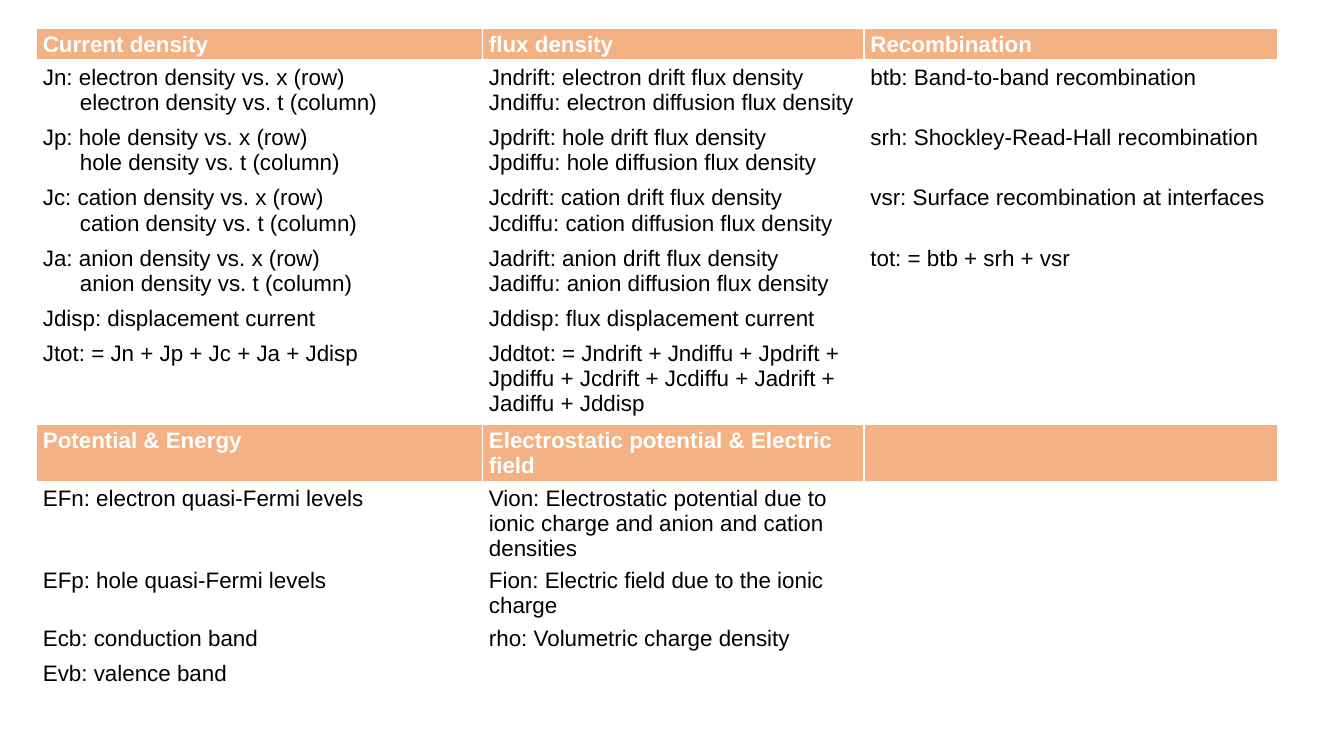
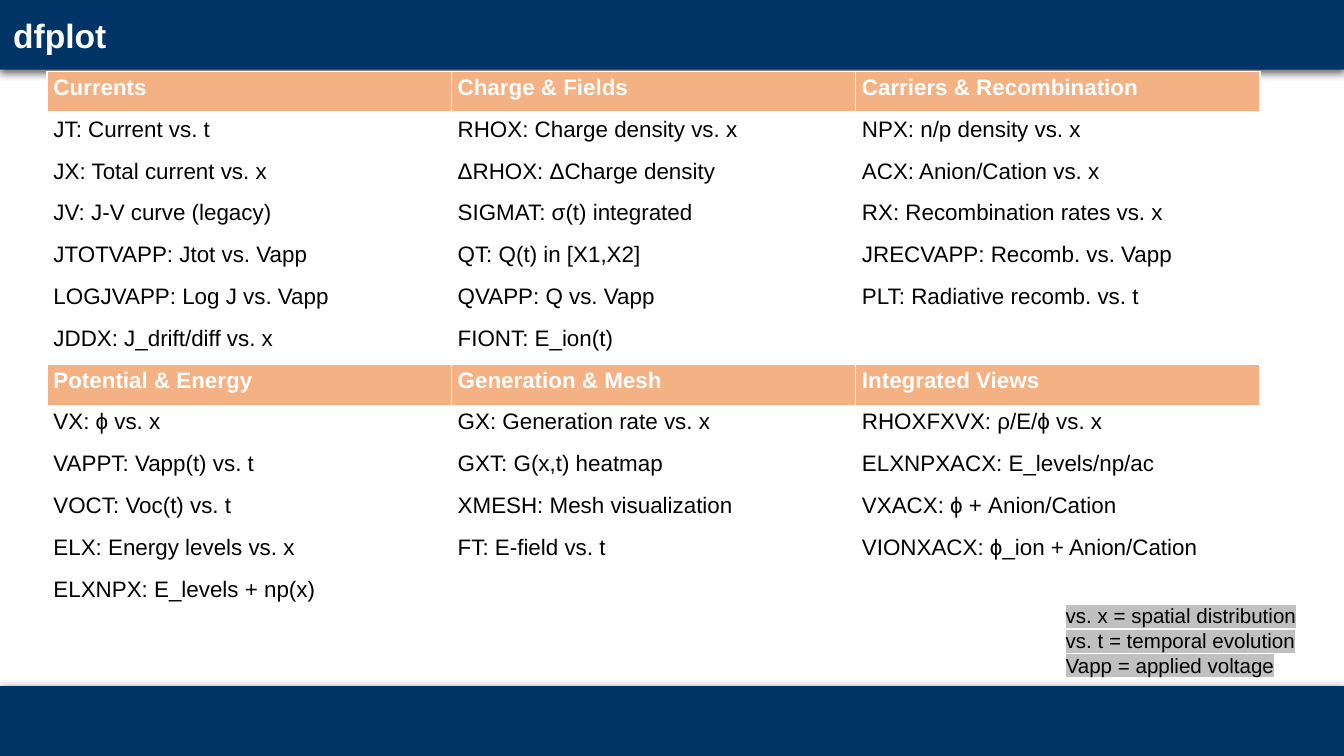
from copy import deepcopy

from lxml.etree import SubElement
from pptx import Presentation
from pptx.dml.color import RGBColor
from pptx.enum.shapes import MSO_SHAPE
from pptx.enum.text import MSO_ANCHOR, MSO_AUTO_SIZE, PP_ALIGN
from pptx.oxml import parse_xml
from pptx.oxml.ns import nsdecls, qn
from pptx.util import Cm, Pt

FONT = "Arial"
NAVY, ORANGE, WHITE, BLACK, SILVER = "003366", "F4B183", "FFFFFF", "000000", "C0C0C0"
SLIDE_WIDTH, SLIDE_HEIGHT, BAND_HEIGHT = 25.4, 14.29, 1.32
HEADING_ROWS = (0, 7)
HANG = 0.7

VARIABLES = dict(
    left=0.69, top=0.53,
    widths=[8.43, 7.21, 7.82],
    heights=[0.63] + [1.14] * 4 + [0.63, 1.65, 0.63, 0.69] + [0.63] * 4,
    rows=[
        ("Current density", "flux density", "Recombination"),
        ("Jn: electron density vs. x (row)\velectron density vs. t (column)",
         "Jndrift: electron drift flux density\nJndiffu: electron diffusion flux density",
         "btb: Band-to-band recombination"),
        ("Jp: hole density vs. x (row)\vhole density vs. t (column)",
         "Jpdrift: hole drift flux density\nJpdiffu: hole diffusion flux density",
         "srh: Shockley-Read-Hall recombination"),
        ("Jc: cation density vs. x (row)\vcation density vs. t (column)",
         "Jcdrift: cation drift flux density\nJcdiffu: cation diffusion flux density",
         "vsr: Surface recombination at interfaces"),
        ("Ja: anion density vs. x (row)\vanion density vs. t (column)",
         "Jadrift: anion drift flux density\nJadiffu: anion diffusion flux density",
         "tot: = btb + srh + vsr"),
        ("Jdisp: displacement current", "Jddisp: flux displacement current", ""),
        ("Jtot: = Jn + Jp + Jc + Ja + Jdisp",
         "Jddtot: = Jndrift + Jndiffu + Jpdrift + Jpdiffu + Jcdrift + Jcdiffu + "
         "Jadrift + Jadiffu + Jddisp", ""),
        ("Potential & Energy", "Electrostatic potential & Electric field", ""),
        ("EFn: electron quasi-Fermi levels",
         "Vion: Electrostatic potential due to ionic charge and anion and cation densities", ""),
        ("EFp: hole quasi-Fermi levels", "Fion: Electric field due to the ionic charge", ""),
        ("Ecb: conduction band", "rho: Volumetric charge density", ""),
        ("Evb: valence band", "", ""),
        ("", "", ""),
    ],
)

PLOTS = dict(
    left=0.89, top=1.35,
    widths=[7.64] * 3,
    heights=[0.79] * 13,
    rows=[
        ("Currents", "Charge & Fields", "Carriers & Recombination"),
        ("JT: Current vs. t", "RHOX: Charge density vs. x", "NPX: n/p density vs. x"),
        ("JX: Total current vs. x", "ΔRHOX: ΔCharge density", "ACX: Anion/Cation vs. x"),
        ("JV: J-V curve (legacy)", "SIGMAT: σ(t) integrated", "RX: Recombination rates vs. x"),
        ("JTOTVAPP: Jtot vs. Vapp", "QT: Q(t) in [X1,X2]", "JRECVAPP: Recomb. vs. Vapp"),
        ("LOGJVAPP: Log J vs. Vapp", "QVAPP: Q vs. Vapp", "PLT: Radiative recomb. vs. t"),
        ("JDDX: J_drift/diff vs. x", "FIONT: E_ion(t)", ""),
        ("Potential & Energy", "Generation & Mesh", "Integrated Views"),
        ("VX: ϕ vs. x", "GX: Generation rate vs. x", "RHOXFXVX: ρ/E/ϕ vs. x"),
        ("VAPPT: Vapp(t) vs. t", "GXT: G(x,t) heatmap", "ELXNPXACX: E_levels/np/ac"),
        ("VOCT: Voc(t) vs. t", "XMESH: Mesh visualization", "VXACX: ϕ + Anion/Cation"),
        ("ELX: Energy levels vs. x", "FT: E-field vs. t", "VIONXACX: ϕ_ion + Anion/Cation"),
        ("ELXNPX: E_levels + np(x)", "", ""),
    ],
)

TITLE = "dfplot"
LEGEND = "vs. x = spatial distribution\nvs. t = temporal evolution\nVapp = applied voltage"


def rgb(color):
    return RGBColor.from_string(color)


def write(frame, text, size=12, color=BLACK, bold=False, highlight=None):
    frame.word_wrap = True
    for number, line in enumerate(text.split("\n")):
        paragraph = frame.add_paragraph() if number else frame.paragraphs[0]
        paragraph.text = line
        paragraph.alignment = PP_ALIGN.LEFT
        if "\v" in line:
            properties = paragraph._p.get_or_add_pPr()
            properties.set("marL", str(Cm(HANG)))
            properties.set("indent", str(-Cm(HANG)))
        for run in paragraph.runs:
            run.font.name = FONT
            run.font.size = Pt(size)
            run.font.bold = bold
            run.font.color.rgb = rgb(color)
            if highlight:
                run._r.rPr.find(qn("a:solidFill")).addnext(parse_xml(
                    f'<a:highlight {nsdecls("a")}><a:srgbClr val="{highlight}"/></a:highlight>'))
        for line_break in paragraph._p.findall(qn("a:br")):
            line_break.append(deepcopy(paragraph.runs[0]._r.rPr))
        if not line:
            SubElement(paragraph._p, qn("a:endParaRPr"), sz=str(size * 100))


def add_borders(cell, bottom):
    properties = cell._tc.get_or_add_tcPr()
    for position, (side, width) in enumerate((("L", 1), ("R", 1), ("T", 1), ("B", bottom))):
        properties.insert(position, parse_xml(
            f'<a:ln{side} {nsdecls("a")} w="{Pt(width)}"><a:solidFill>'
            f'<a:srgbClr val="{WHITE}"/></a:solidFill></a:ln{side}>'))


def add_glossary(slide, left, top, widths, heights, rows):
    table = slide.shapes.add_table(
        len(rows), len(widths), Cm(left), Cm(top), Cm(sum(widths)), Cm(sum(heights))).table
    table.first_row = table.horz_banding = False
    for column, width in zip(table.columns, widths):
        column.width = Cm(width)
    for number, (row, height, entries) in enumerate(zip(table.rows, heights, rows)):
        row.height = Cm(height)
        heading = number in HEADING_ROWS
        for cell, entry in zip(row.cells, entries):
            cell.margin_left = cell.margin_right = Cm(0.12)
            cell.margin_top = cell.margin_bottom = Cm(0.07)
            if heading:
                cell.fill.solid()
                cell.fill.fore_color.rgb = rgb(ORANGE)
            else:
                cell.fill.background()
            add_borders(cell, bottom=1 if number else 3)
            write(cell.text_frame, entry, color=WHITE if heading else BLACK, bold=heading)


def add_band(slide, top):
    band = slide.shapes.add_shape(
        MSO_SHAPE.RECTANGLE, 0, Cm(top), Cm(SLIDE_WIDTH), Cm(BAND_HEIGHT))
    band.fill.solid()
    band.fill.fore_color.rgb = rgb(NAVY)
    band.line.fill.background()
    band.shadow.inherit = False
    band._element.spPr.find(qn("a:effectLst")).append(parse_xml(
        f'<a:outerShdw {nsdecls("a")} blurRad="{Pt(4.5)}" dist="{Pt(1.5)}" dir="5400000" '
        f'rotWithShape="0"><a:srgbClr val="{BLACK}"><a:alpha val="63000"/></a:srgbClr>'
        '</a:outerShdw>'))
    return band.text_frame


def build():
    deck = Presentation()
    deck.slide_width, deck.slide_height = Cm(SLIDE_WIDTH), Cm(SLIDE_HEIGHT)
    variables, plots = (deck.slides.add_slide(deck.slide_layouts[6]) for _ in range(2))

    add_glossary(variables, **VARIABLES)

    add_band(plots, SLIDE_HEIGHT - BAND_HEIGHT)
    title = add_band(plots, 0)
    title.vertical_anchor = MSO_ANCHOR.MIDDLE
    write(title, TITLE, size=18, color=WHITE, bold=True)
    add_glossary(plots, **PLOTS)
    legend = plots.shapes.add_textbox(Cm(19.89), Cm(11.28), Cm(5), Cm(1.68)).text_frame
    write(legend, LEGEND, size=11, highlight=SILVER)
    legend.auto_size = MSO_AUTO_SIZE.SHAPE_TO_FIT_TEXT

    deck.save("out.pptx")


if __name__ == "__main__":
    build()
